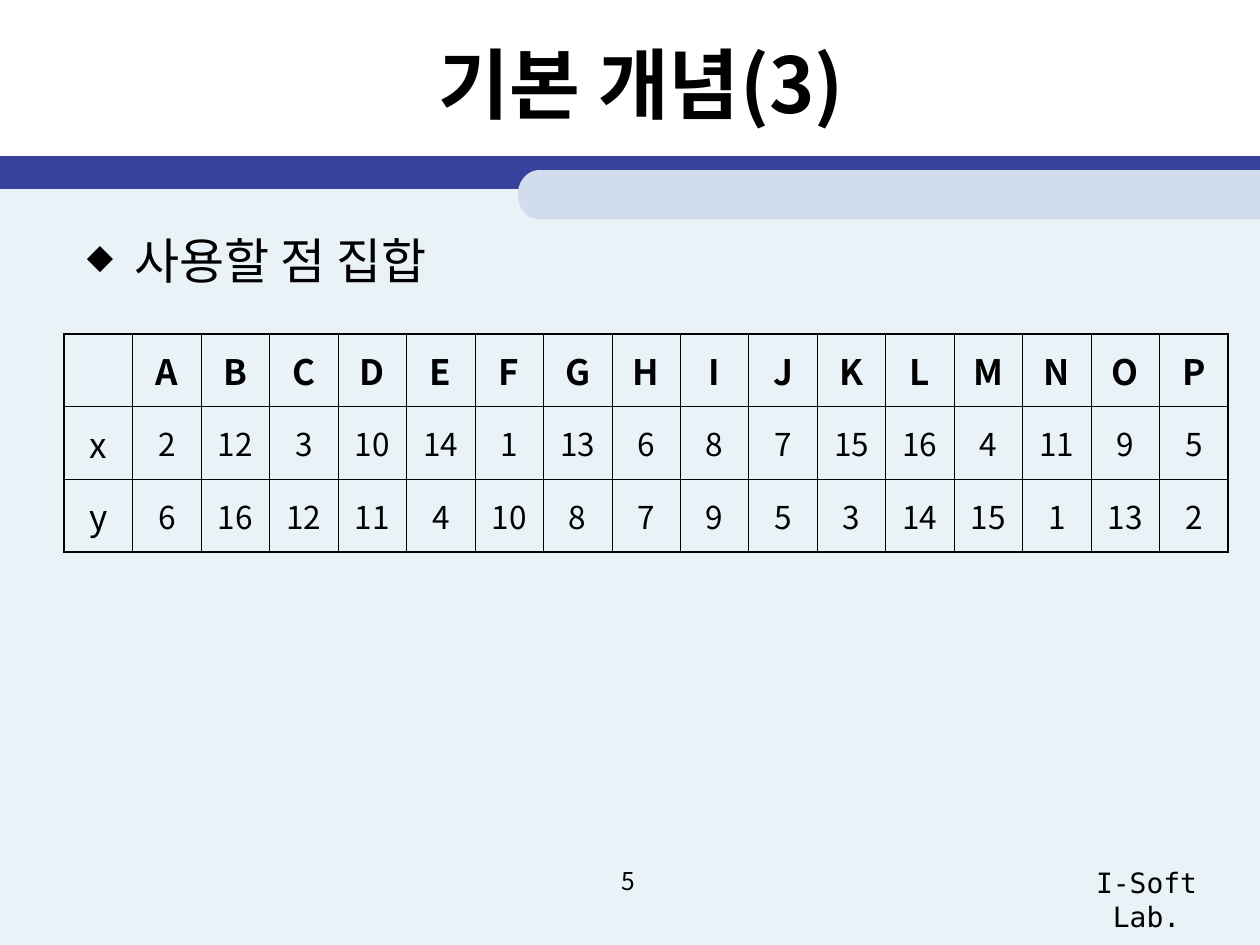
from dataclasses import dataclass
from math import cos, pi, sin
from typing import Optional

from lxml.etree import SubElement
from pptx import Presentation
from pptx.dml.color import RGBColor
from pptx.enum.shapes import MSO_SHAPE as SHAPE
from pptx.enum.text import MSO_ANCHOR as ANCHOR, PP_ALIGN as ALIGN
from pptx.oxml.ns import qn
from pptx.util import Inches, Pt

BLACK = RGBColor(0x00, 0x00, 0x00)
PALE = RGBColor(0xE8, 0xF2, 0xF7)
NAVY = RGBColor(0x36, 0x42, 0x9B)
MIST = RGBColor(0xD1, 0xDD, 0xEC)

SANS = "Noto Sans CJK KR"
MONO = "DejaVu Sans Mono"
THIN, THICK = Pt(0.45), Pt(1.08)

POINTS = [
    ["", *"ABCDEFGHIJKLMNOP"],
    ["x", 2, 12, 3, 10, 14, 1, 13, 6, 8, 7, 15, 16, 4, 11, 9, 5],
    ["y", 6, 16, 12, 11, 4, 10, 8, 7, 9, 5, 3, 14, 15, 1, 13, 2],
]


@dataclass
class Box:
    left: float
    top: float
    width: float
    height: float

    def emu(self) -> tuple:
        return tuple(map(Inches, (self.left, self.top, self.width, self.height)))


@dataclass
class Style:
    size: float
    font: str = SANS
    bold: bool = False
    align: Optional[ALIGN] = ALIGN.CENTER


def write(tf, text: str, style: Style) -> None:
    p = tf.paragraphs[0]
    p.alignment = style.align
    r = p.add_run()
    r.text = text
    r.font.size = Pt(style.size)
    r.font.bold = style.bold
    r.font.name = style.font
    r.font.color.rgb = BLACK
    SubElement(r.font._element, qn("a:ea"), typeface=style.font)


def paint(sp, color: RGBColor) -> None:
    sp.shadow.inherit = False
    sp.fill.solid()
    sp.fill.fore_color.rgb = color
    sp.line.fill.background()


def add_bar(s, box: Box, color: RGBColor) -> None:
    paint(s.shapes.add_shape(SHAPE.RECTANGLE, *box.emu()), color)


def add_tab(s, box: Box, cap: float, color: RGBColor, steps: int = 32) -> None:
    """Band with a rounded left end of the given depth."""
    right, radius = box.left + box.width, box.height / 2
    angles = [pi * i / steps for i in range(steps + 1)]
    outline = [(box.left + cap - cap * sin(a), box.top + radius - radius * cos(a))
               for a in angles]
    outline.append((right, box.top + box.height))
    builder = s.shapes.build_freeform(Inches(right), Inches(box.top))
    builder.add_line_segments([(Inches(x), Inches(y)) for x, y in outline])
    paint(builder.convert_to_shape(), color)


def add_text(s, box: Box, text: str, style: Style):
    tf = s.shapes.add_textbox(*box.emu()).text_frame
    tf.word_wrap = True
    write(tf, text, style)
    return tf.paragraphs[0]


def add_bullet(p, char: str, percent: int, indent: float) -> None:
    pPr = p._p.get_or_add_pPr()
    pPr.set("marL", str(Inches(indent)))
    pPr.set("indent", str(-Inches(indent)))
    color = SubElement(pPr, qn("a:buClr"))
    SubElement(color, qn("a:srgbClr"), val=str(BLACK))
    SubElement(pPr, qn("a:buSzPct"), val=str(percent * 1000))
    SubElement(pPr, qn("a:buChar"), char=char)


def set_borders(cell, outer: dict) -> None:
    tcPr = cell._tc.get_or_add_tcPr()
    for side, is_outer in outer.items():
        ln = SubElement(tcPr, qn(f"a:ln{side}"), w=str(THICK if is_outer else THIN))
        fill = SubElement(ln, qn("a:solidFill"))
        SubElement(fill, qn("a:srgbClr"), val=str(BLACK))


def add_point_table(s, box: Box, rows: list) -> None:
    n_rows, n_cols = len(rows), len(rows[0])
    table = s.shapes.add_table(n_rows, n_cols, *box.emu()).table
    table.first_row = table.horz_banding = False
    for col in table.columns:
        col.width = Inches(box.width / n_cols)
    for row in table.rows:
        row.height = Inches(box.height / n_rows)
    for i, values in enumerate(rows):
        for j, value in enumerate(values):
            cell = table.cell(i, j)
            cell.vertical_anchor = ANCHOR.MIDDLE
            set_borders(cell, {"L": j == 0, "R": j == n_cols - 1,
                               "T": i == 0, "B": i == n_rows - 1})
            cell.fill.background()
            if value != "":
                size = 20 if i == 0 or j == 0 else 18
                write(cell.text_frame, str(value), Style(size, bold=i == 0))


def main() -> None:
    prs = Presentation()
    prs.slide_width, prs.slide_height = Inches(10), Inches(7.5)
    s = prs.slides.add_slide(prs.slide_layouts[5])

    # Background panel and header bands
    add_bar(s, Box(0, 1.4, 10, 6.1), PALE)
    add_bar(s, Box(0, 1.24, 10, 0.26), NAVY)
    add_tab(s, Box(4.11, 1.35, 5.89, 0.39), 0.17, MIST)

    # Title
    title = s.shapes.title
    title.left, title.top, title.width, title.height = Box(0.59, 0.08, 9, 1.15).emu()
    title.text_frame.vertical_anchor = ANCHOR.MIDDLE
    write(title.text_frame, "기본 개념(3)", Style(44, bold=True))

    # Bullet line
    p = add_text(s, Box(0.59, 1.78, 8.98, 4.95), "사용할 점 집합",
                 Style(28, align=None))
    add_bullet(p, "◆", 70, 0.38)

    # Point coordinates
    add_point_table(s, Box(0.51, 2.65, 9.24, 1.73), POINTS)

    # Footer
    add_text(s, Box(8.31, 6.82, 1.58, 0.37), "I-Soft Lab.", Style(16, MONO))
    add_text(s, Box(3.82, 6.82, 2.33, 0.52), "5", Style(14))

    prs.save("out.pptx")


if __name__ == "__main__":
    main()
